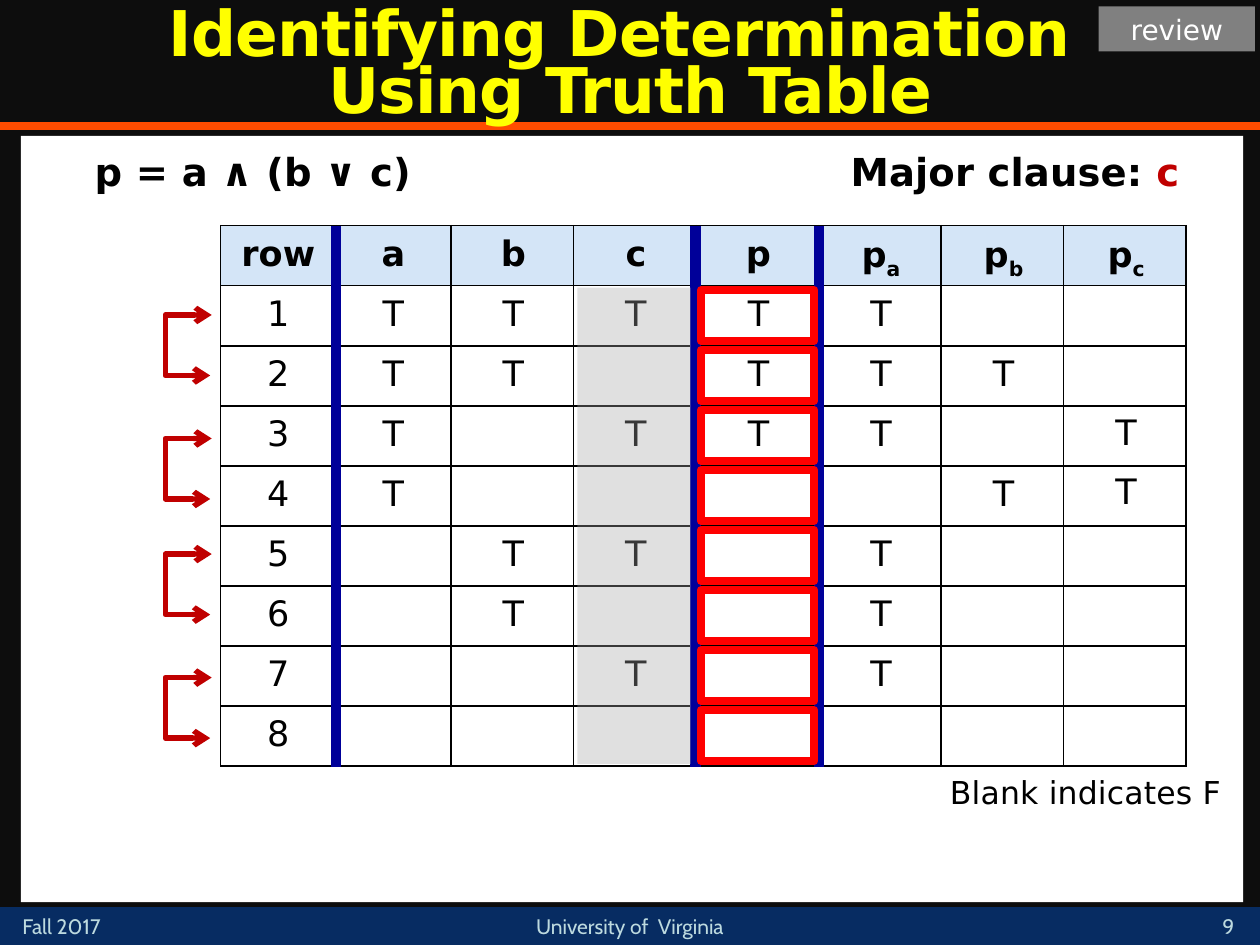
from lxml.etree import SubElement
from pptx import Presentation
from pptx.dml.color import RGBColor as RGB
from pptx.enum.shapes import MSO_CONNECTOR as Link, MSO_SHAPE as Kind
from pptx.enum.text import MSO_ANCHOR as Anchor, MSO_AUTO_SIZE as Fit, PP_ALIGN as Align
from pptx.oxml.ns import qn
from pptx.util import Cm, Pt


class Theme:
    font, foot_font = "DejaVu Sans", "Cabin"
    back, paper, ink = "0D0D0D", "FFFFFF", "000000"
    title, accent, bar, foot = "FFFF00", "FF4C00", "072C62", "BDDADF"
    tag, head, rule = "808080", "D4E5F7", "000099"
    frame, major, veil = "FF0000", "C00000", "A6A6A6"
    title_size, lead_size, cell_size = 36, 22, 20
    note_size, tag_size, foot_size = 18, 16, 12


def write(para, text, size=Theme.cell_size, color=Theme.ink, font=Theme.font,
          bold=False, align=Align.LEFT, lead=None, gap=0, base=0, inset=0):
    """Add a run; gap is letter spacing in points, base a shift in percent."""
    para.alignment = align
    para.line_spacing = lead
    if inset:
        para._p.get_or_add_pPr().set("marL", str(Cm(inset)))
    run = para.add_run()
    run.text = text
    run.font.size, run.font.name, run.font.bold = Pt(size), font, bold
    run.font.color.rgb = RGB.from_string(color)
    props = run.font._element
    if gap:
        props.set("spc", str(int(gap * 100)))
    if base:
        props.set("baseline", str(base * 1000))


def draw(left, top, wide, high, fill=None, line=None):
    """Add a plain rectangle, or a straight line when it has no extent."""
    if wide and high:
        item = shapes.add_shape(Kind.RECTANGLE, Cm(left), Cm(top), Cm(wide), Cm(high))
        item.shadow.inherit = False
        if fill:
            item.fill.solid()
            item.fill.fore_color.rgb = RGB.from_string(fill)
        else:
            item.fill.background()
    else:
        item = shapes.add_connector(Link.STRAIGHT, Cm(left), Cm(top),
                                    Cm(left + wide), Cm(top + high))
        SubElement(item._element.spPr, qn("a:effectLst"))
    if line:
        color, width = line
        item.line.color.rgb = RGB.from_string(color)
        item.line.width = Pt(width)
    else:
        item.line.fill.background()
    return item


deck = Presentation()
deck.slide_width, deck.slide_height = Cm(25.4), Cm(19.05)
slide = deck.slides.add_slide(deck.slide_layouts[5])
shapes = slide.shapes
slide.background.fill.solid()
slide.background.fill.fore_color.rgb = RGB.from_string(Theme.back)

# Footer bar and title rule
draw(0, 18.29, 25.4, 0.76, fill=Theme.bar)
draw(0, 2.54, 25.4, 0, line=(Theme.accent, 4.5))

# Title, in front of the rule
title = shapes.title
title.left, title.top, title.width, title.height = Cm(0), Cm(0.1), Cm(25.4), Cm(2.54)
shapes._spTree.append(title._element)
title.text_frame.auto_size = Fit.NONE
title.text_frame.vertical_anchor = Anchor.MIDDLE
para = title.text_frame.paragraphs[0]
look = dict(size=Theme.title_size, color=Theme.title, bold=True,
            align=Align.CENTER, lead=0.75, gap=-0.5)
write(para, "Identifying Determination ", **look)
para.add_line_break()
write(para, "Using Truth Table", **look)

# Review tag and white page
tag = draw(22.15, 0.13, 3.15, 0.91, fill=Theme.tag)
tag.text_frame.vertical_anchor = Anchor.MIDDLE
write(tag.text_frame.paragraphs[0], "review", size=Theme.tag_size,
      color=Theme.paper, align=Align.CENTER)
draw(0.42, 2.74, 24.64, 15.45, fill=Theme.paper)

# Text boxes: place, then runs of text with their format
foot = dict(size=Theme.foot_size, font=Theme.foot_font, color=Theme.foot)
mid = dict(foot, align=Align.CENTER)
lead = dict(size=Theme.lead_size, bold=True, lead=0.9, gap=0.1, inset=0.05)
note = dict(size=Theme.note_size, lead=0.9, gap=0.1, inset=0.05)
boxes = [
    ((0.2, 18.29, 2.97, 0.76), [("Fall 2017", foot)]),
    ((9.31, 18.29, 6.78, 0.76), [("University of  Virginia", mid)]),
    ((24.13, 18.29, 1.27, 0.76), [("9", mid)]),
    ((1.61, 2.97, 7.92, 1.27), [("p = a ∧ (b ∨ c)", lead)]),
    ((16.85, 2.97, 7.92, 1.27),
     [("Major clause: ", lead), ("c", dict(lead, color=Theme.major))]),
    ((18.85, 15.55, 6.43, 1.37), [("Blank indicates F", note)]),
]
for place, runs in boxes:
    frame = shapes.add_textbox(*map(Cm, place)).text_frame
    frame.word_wrap = True
    for text, form in runs:
        write(frame.paragraphs[0], text, **form)

# Truth table: a dot stands for a blank cell
heads = ["row", "a", "b", "c", "p", "pa", "pb", "pc"]
marks = ["TTTTT..", "TT.TTT.", "T.TTT..", "T....T.",
         ".TT.T..", ".T..T..", "..T.T..", "......."]
rows = [heads] + [[str(n), *line] for n, line in enumerate(marks, 1)]
left, top, step, wide = 4.45, 4.55, 1.21, 2.47
widths = [2.32, 2.32] + [wide] * 6

# The main grid, then the two answers for pc laid over it
grids = [(left, top, widths, rows),
         (21.44, 9.35, [wide], [["T"]]),
         (21.44, 8.15, [wide], [["T"]])]
for x, y, cols, lines in grids:
    main = lines is rows
    table = shapes.add_table(len(lines), len(cols), Cm(x), Cm(y),
                             Cm(sum(cols)), Cm(step * len(lines))).table
    table.first_row = table.horz_banding = False
    for col, width in zip(table.columns, cols):
        col.width = Cm(width)
    for r, texts in enumerate(lines):
        table.rows[r].height = Cm(step)
        for c, text in enumerate(texts):
            cell = table.cell(r, c)
            cell.vertical_anchor = Anchor.MIDDLE
            for side in ("lnL", "lnR", "lnT", "lnB"):
                edge = SubElement(cell._tc.get_or_add_tcPr(), qn("a:" + side),
                                  w=str(Pt(1)))
                if main:
                    paint = SubElement(edge, qn("a:solidFill"))
                    SubElement(paint, qn("a:srgbClr"), val=Theme.ink)
                else:
                    SubElement(edge, qn("a:noFill"))
            if main and r == 0:
                cell.fill.solid()
                cell.fill.fore_color.rgb = RGB.from_string(Theme.head)
            else:
                cell.fill.background()
            if text == ".":
                continue
            para = cell.text_frame.paragraphs[0]
            form = dict(bold=main and r == 0, align=Align.CENTER, lead=0.9,
                        inset=0 if main and c < 2 else 0.05)
            if len(text) == 2:
                write(para, text[0], **form)
                write(para, text[1], base=-25, **form)
            else:
                write(para, text, **form)

# Thick column rules
for x in (6.77, 14.02, 16.51):
    draw(x, top, 0, 10.92, line=(Theme.rule, 6))

# Red frames around the values of p
for n in range(len(marks)):
    draw(14.13, 5.85 + n * step, 2.29, 1.02, line=(Theme.frame, 4.5))

# Brackets that pair the rows
start, end, bend = 4.27, 4.24, 3.33
for y in (6.35, 8.84, 11.17, 13.66):
    link = shapes.add_connector(Link.ELBOW, Cm(start), Cm(y), Cm(end), Cm(y + 1.22))
    link.line.color.rgb = RGB.from_string(Theme.major)
    link.line.width = Pt(3)
    props = link._element.spPr
    guides = props.find(qn("a:prstGeom")).get_or_add_avLst()
    ratio = round((start - bend) / (start - end) * 100000)
    SubElement(guides, qn("a:gd"), name="adj1", fmla=f"val {ratio}")
    for tip in ("headEnd", "tailEnd"):
        SubElement(link.line._get_or_add_ln(), qn("a:" + tip), type="arrow")
    SubElement(props, qn("a:effectLst"))

# Grey veil over the major clause
veil = draw(11.64, 5.8, 2.29, 9.6, fill=Theme.veil)
shade = veil._element.spPr.find(qn("a:solidFill")).find(qn("a:srgbClr"))
SubElement(shade, qn("a:alpha"), val="34000")

deck.save("out.pptx")
